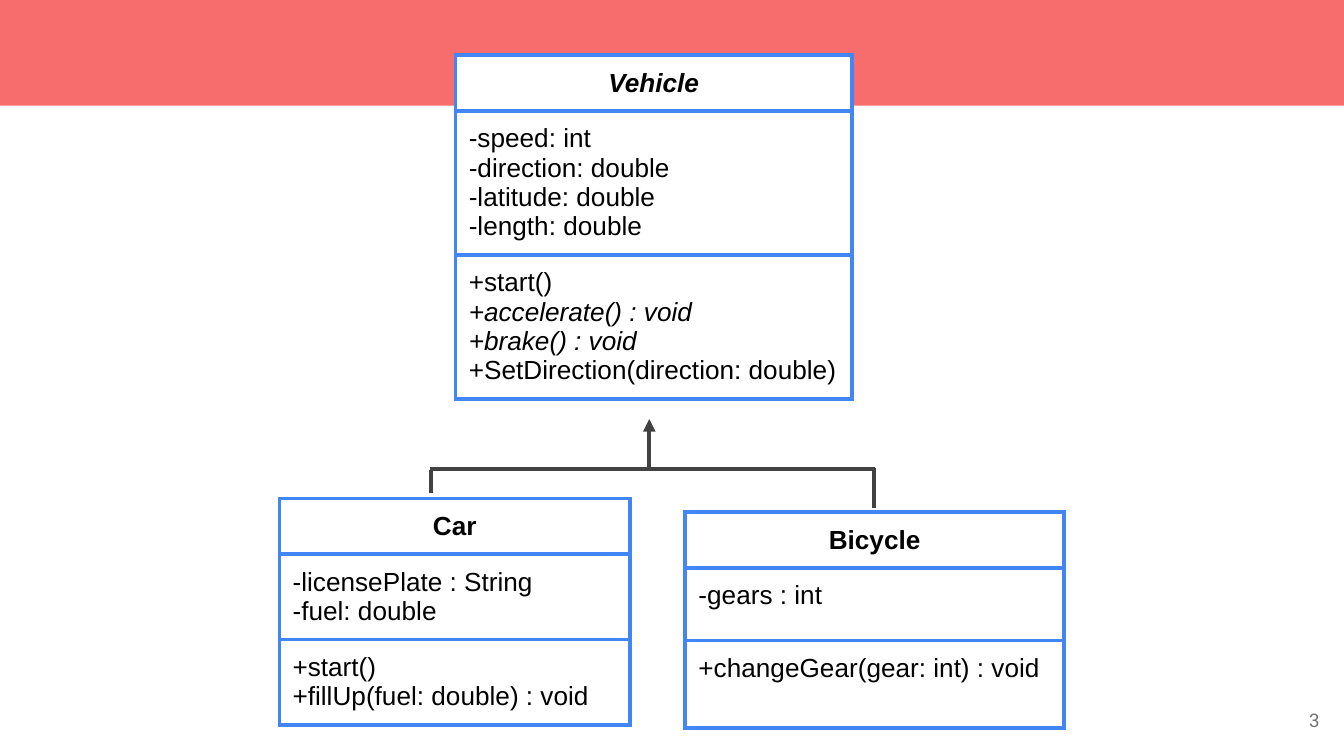
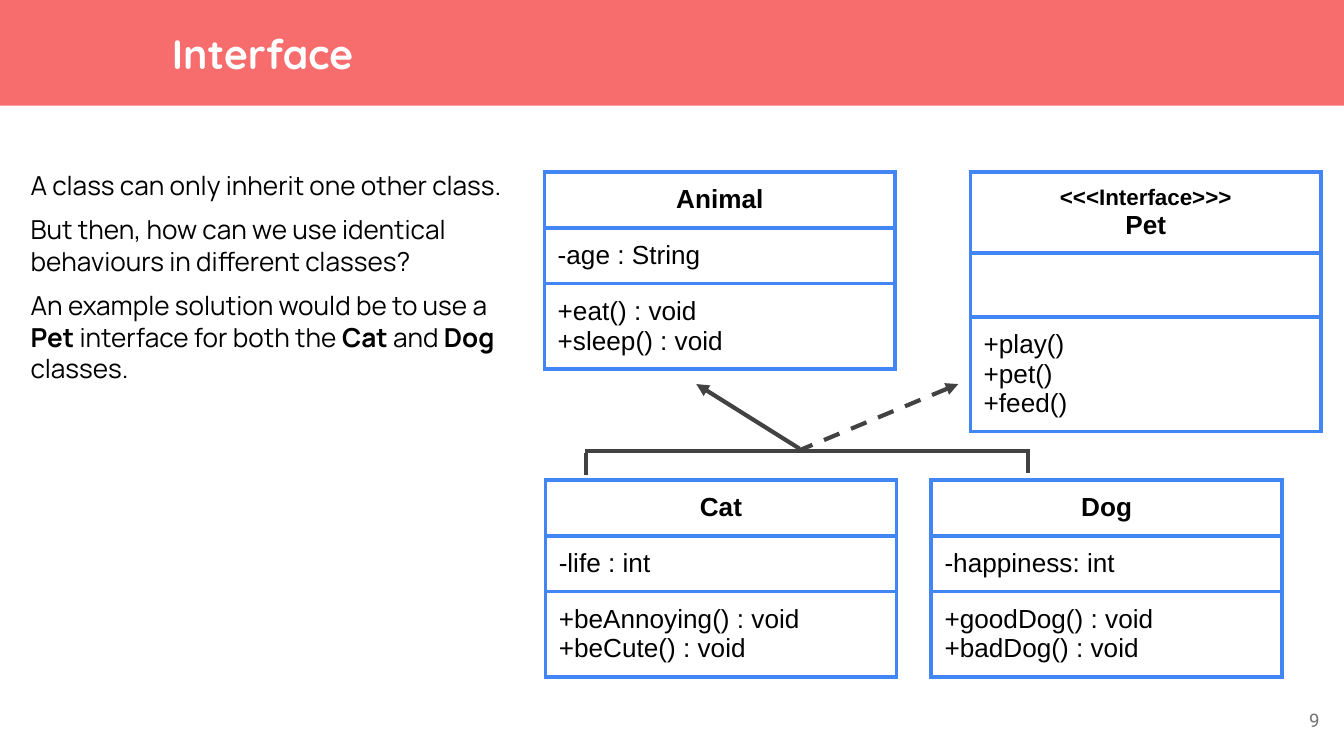
from dataclasses import dataclass
from typing import Optional

from lxml import etree
from pptx import Presentation
from pptx.dml.color import RGBColor
from pptx.enum.dml import MSO_LINE
from pptx.enum.shapes import MSO_CONNECTOR, MSO_SHAPE
from pptx.enum.text import MSO_ANCHOR, MSO_AUTO_SIZE, PP_ALIGN
from pptx.oxml.ns import qn
from pptx.util import Cm, Pt

LEFT, CENTER, RIGHT = PP_ALIGN.LEFT, PP_ALIGN.CENTER, PP_ALIGN.RIGHT
TOP, MIDDLE = MSO_ANCHOR.TOP, MSO_ANCHOR.MIDDLE
RECTANGLE, STRAIGHT = MSO_SHAPE.RECTANGLE, MSO_CONNECTOR.STRAIGHT
DASH = MSO_LINE.DASH
NO_AUTOFIT = MSO_AUTO_SIZE.NONE

COLORS = {
    "band": "F76C6C",
    "paper": "FFFFFF",
    "ink": "000000",
    "number": "737373",
    "border": "4285F4",
    "link": "424242",
}
LINE_WIDTH = Pt(2.25)
PADDING = 0.25
BAND_HEIGHT = 2
CLASS_WIDTH = 6.63


@dataclass(frozen=True)
class Span:
    text: str
    bold: bool = False
    italic: bool = False
    size: float = 14


Line = tuple[Span, ...]


@dataclass(frozen=True)
class ClassBox:
    left: float
    top: float
    heights: tuple[float, float, float]
    heading: tuple[Line, ...]
    attributes: tuple[Line, ...]
    methods: tuple[Line, ...]
    width: float = CLASS_WIDTH


@dataclass(frozen=True)
class Link:
    start: tuple[float, float]
    end: tuple[float, float]
    arrow: bool = False
    dashed: bool = False


def lines(*texts: str, bold: bool = False, italic: bool = False) -> tuple[Line, ...]:
    return tuple((Span(text, bold, italic),) for text in texts)


def add_text(paragraph, text: str, *, font: str = "Arial", size: float = 14,
             color: str = "ink", bold: bool = False, italic: bool = False) -> None:
    run = paragraph.add_run()
    run.text = text
    run.font.name = font
    run.font.size = Pt(size)
    run.font.bold = bold
    run.font.italic = italic
    run.font.color.rgb = RGBColor.from_string(COLORS[color])


def fill_frame(frame, content: tuple[Line, ...], *, align=LEFT, font: str = "Arial",
               color: str = "ink", leading: Optional[float] = None,
               gap: float = 0) -> None:
    for index, line in enumerate(content):
        paragraph = frame.add_paragraph() if index else frame.paragraphs[0]
        paragraph.alignment = align
        paragraph.space_before = Pt(0)
        paragraph.space_after = Pt(gap)
        if leading:
            paragraph.line_spacing = Pt(leading)
        for span in line:
            add_text(paragraph, span.text, font=font, size=span.size, color=color,
                     bold=span.bold, italic=span.italic)


def pad(target, padding: float) -> None:
    target.margin_left = target.margin_right = Cm(padding)
    target.margin_top = target.margin_bottom = Cm(padding)


def prepare_frame(frame, anchor, padding: float = PADDING) -> None:
    frame.word_wrap = True
    frame.auto_size = NO_AUTOFIT
    frame.vertical_anchor = anchor
    pad(frame, padding)


def place(shape, left: float, top: float, width: float, height: float) -> None:
    shape.left, shape.top = Cm(left), Cm(top)
    shape.width, shape.height = Cm(width), Cm(height)


def add_panel(slide, left: float, top: float, width: float, height: float,
              color: str) -> None:
    panel = slide.shapes.add_shape(RECTANGLE, Cm(left), Cm(top), Cm(width), Cm(height))
    panel.shadow.inherit = False
    panel.fill.solid()
    panel.fill.fore_color.rgb = RGBColor.from_string(COLORS[color])
    panel.line.fill.background()


def border_cell(cell) -> None:
    properties = cell._tc.get_or_add_tcPr()
    for index, side in enumerate(("lnL", "lnR", "lnT", "lnB")):
        edge = etree.Element(qn(f"a:{side}"), w=str(LINE_WIDTH))
        paint = etree.SubElement(edge, qn("a:solidFill"))
        etree.SubElement(paint, qn("a:srgbClr"), val=COLORS["border"])
        properties.insert(index, edge)


def add_class(slide, box: ClassBox) -> None:
    table = slide.shapes.add_table(3, 1, Cm(box.left), Cm(box.top), Cm(box.width),
                                   Cm(sum(box.heights))).table
    table.first_row = table.horz_banding = False
    sections = (box.heading, box.attributes, box.methods)
    for index, (height, content) in enumerate(zip(box.heights, sections)):
        table.rows[index].height = Cm(height)
        cell = table.cell(index, 0)
        pad(cell, PADDING)
        cell.vertical_anchor = TOP if index else MIDDLE
        cell.fill.background()
        border_cell(cell)
        fill_frame(cell.text_frame, content, align=LEFT if index else CENTER)


def add_link(slide, link: Link) -> None:
    points = [Cm(value) for value in (*link.start, *link.end)]
    connector = slide.shapes.add_connector(STRAIGHT, *points)
    connector.line.width = LINE_WIDTH
    connector.line.color.rgb = RGBColor.from_string(COLORS["link"])
    if link.dashed:
        connector.line.dash_style = DASH
    properties = connector._element.spPr
    if link.arrow:
        etree.SubElement(properties.find(qn("a:ln")), qn("a:headEnd"), type="triangle")
    etree.SubElement(properties, qn("a:effectLst"))


def add_slide(deck, layout: int, number: int):
    slide = deck.slides.add_slide(deck.slide_layouts[layout])
    add_panel(slide, -0.05, 0, 25.5, BAND_HEIGHT, "band")
    page = slide.shapes.add_textbox(Cm(23.67), Cm(13.06), Cm(1.52), Cm(1.09))
    prepare_frame(page.text_frame, MIDDLE)
    fill_frame(page.text_frame, ((Span(str(number), size=10),),), align=RIGHT,
               font="Roboto", color="number")
    return slide


def bring_forward(shape) -> None:
    shape._element.getparent().append(shape._element)


def add_title(slide, text: str) -> None:
    title = slide.shapes.title
    bring_forward(title)
    place(title, 3.25, 0, 11.02, BAND_HEIGHT)
    prepare_frame(title.text_frame, MIDDLE, 0)
    fill_frame(title.text_frame, ((Span(text, bold=True, size=22),),),
               font="Quicksand", color="paper")


def add_body(slide, content: tuple[Line, ...]) -> None:
    body = slide.placeholders[1]
    place(body, 0.33, 2.95, 9.55, 5.72)
    prepare_frame(body.text_frame, TOP)
    fill_frame(body.text_frame, content, font="Manrope", leading=16.8, gap=7)
    for paragraph in body.text_frame.paragraphs:
        properties = paragraph._p.get_or_add_pPr()
        properties.set("marL", "0")
        properties.set("indent", "0")
        etree.SubElement(properties, qn("a:buNone"))


def add_diagram(slide, links: tuple[Link, ...], classes: tuple[ClassBox, ...]) -> None:
    for link in links:
        add_link(slide, link)
    for box in classes:
        add_class(slide, box)


def build_vehicle_slide(deck) -> None:
    slide = add_slide(deck, 6, 3)
    add_panel(slide, 8.59, 1.02, 7.49, 6.71, "paper")
    vehicle = ClassBox(
        8.61, 1.04, (0.97, 2.51, 2.57),
        lines("Vehicle", bold=True, italic=True),
        lines("-speed: int", "-direction: double", "-latitude: double",
              "-length: double"),
        lines("+start()")
        + lines("+accelerate() : void", "+brake() : void", italic=True)
        + lines("+SetDirection(direction: double)"),
        width=7.49,
    )
    car = ClassBox(
        5.28, 9.42, (0.91, 1.42, 1.4),
        lines("Car", bold=True),
        lines("-licensePlate : String", "-fuel: double"),
        lines("+start()", "+fillUp(fuel: double) : void"),
    )
    bicycle = ClassBox(
        12.95, 9.68, (0.79, 1.37, 1.65),
        lines("Bicycle", bold=True),
        lines("-gears : int"),
        lines("+changeGear(gear: int) : void"),
        width=7.16,
    )
    links = (
        Link((12.27, 7.92), (12.27, 8.86), arrow=True),
        Link((8.13, 8.86), (16.54, 8.86)),
        Link((8.15, 8.89), (8.15, 9.32)),
        Link((16.51, 8.84), (16.51, 9.6)),
    )
    add_diagram(slide, links, (car, bicycle, vehicle))


def build_interface_slide(deck) -> None:
    slide = add_slide(deck, 1, 9)
    add_title(slide, "Interface")
    add_body(slide, (
        *lines("A class can only inherit one other class.",
               "But then, how can we use identical behaviours in different classes?"),
        (Span("An example solution would be to use a "), Span("Pet", bold=True),
         Span(" interface for both the "), Span("Cat ", bold=True), Span("and "),
         Span("Dog", bold=True), Span(" classes.")),
    ))
    heights = (0.64, 0.97, 0.97)
    parent_top, child_top = 3.25, 9.07
    cat = ClassBox(10.31, child_top, heights, lines("Cat", bold=True),
                   lines("-life : int"),
                   lines("+beAnnoying() : void", "+beCute() : void"))
    dog = ClassBox(17.6, child_top, heights, lines("Dog", bold=True),
                   lines("-happiness: int"),
                   lines("+goodDog() : void", "+badDog() : void"))
    animal = ClassBox(10.29, parent_top, heights, lines("Animal", bold=True),
                      lines("-age : String"),
                      lines("+eat() : void", "+sleep() : void"))
    pet = ClassBox(18.34, parent_top, (1.14, 1.21, 1.19),
                   ((Span("<<<Interface>>>", bold=True, size=12),),
                    (Span("Pet", bold=True),)),
                   lines(""),
                   lines("+play()", "+pet()", "+feed()"))
    links = (
        Link((13.16, 7.26), (15.11, 8.48), arrow=True),
        Link((11.05, 8.53), (19.46, 8.53)),
        Link((11.07, 8.56), (11.07, 8.97)),
        Link((19.43, 8.51), (19.43, 8.94)),
        Link((18.11, 7.26), (15.11, 8.51), arrow=True, dashed=True),
    )
    add_diagram(slide, links, (cat, dog, animal, pet))


def main() -> None:
    deck = Presentation()
    deck.slide_width, deck.slide_height = Cm(25.4), Cm(14.29)
    build_vehicle_slide(deck)
    build_interface_slide(deck)
    deck.save("out.pptx")


if __name__ == "__main__":
    main()
